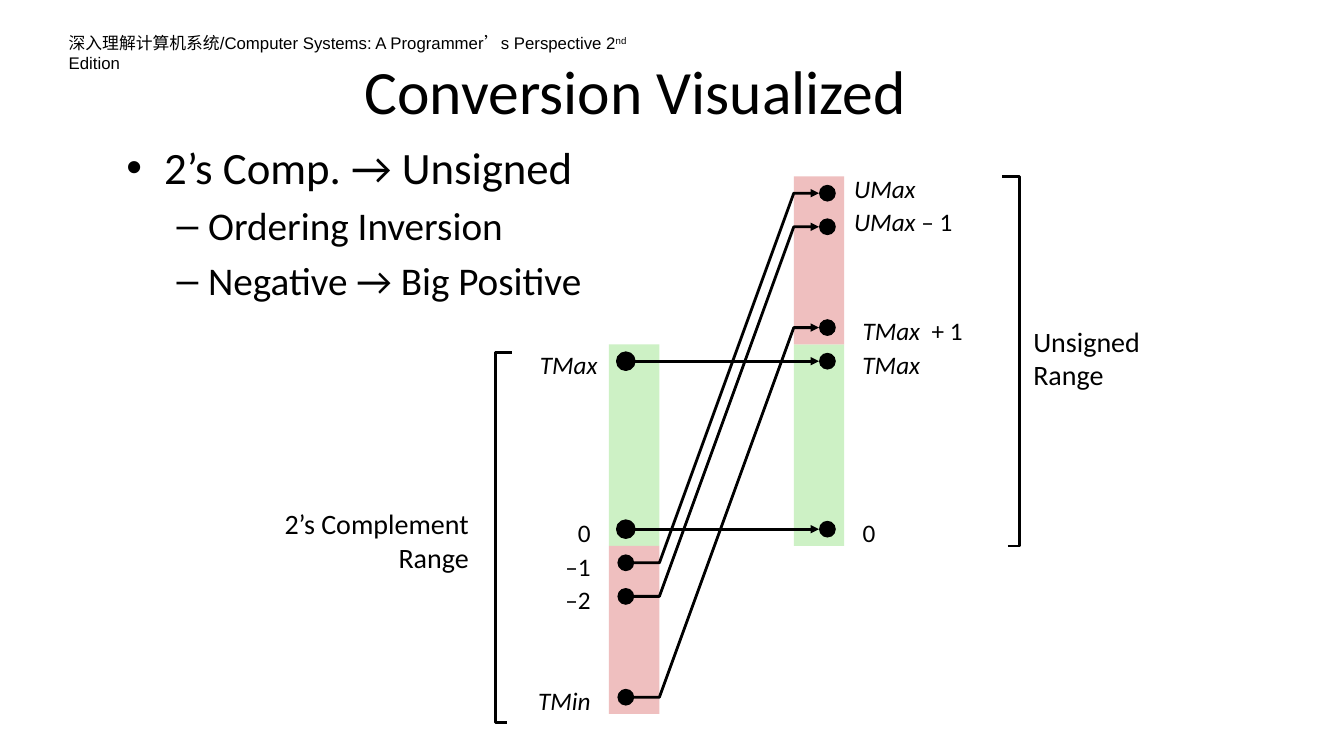
from dataclasses import dataclass

from lxml import etree
from pptx import Presentation
from pptx.dml.color import RGBColor
from pptx.enum.shapes import MSO_CONNECTOR, MSO_SHAPE
from pptx.enum.text import MSO_AUTO_SIZE, PP_ALIGN
from pptx.oxml.ns import qn
from pptx.util import Pt

LEFT, CENTER, RIGHT = PP_ALIGN.LEFT, PP_ALIGN.CENTER, PP_ALIGN.RIGHT
RECTANGLE, OVAL = MSO_SHAPE.RECTANGLE, MSO_SHAPE.OVAL
STRAIGHT = MSO_CONNECTOR.STRAIGHT
NO_AUTOFIT = MSO_AUTO_SIZE.NONE


@dataclass(frozen=True)
class Theme:
    ink: RGBColor = RGBColor(0x00, 0x00, 0x00)
    shared: RGBColor = RGBColor(0xCD, 0xF1, 0xC5)
    moved: RGBColor = RGBColor(0xEF, 0xBF, 0xBF)
    font: str = "Calibri"
    header_font: str = "Arial"
    title_size: int = 44
    body_sizes: tuple = (32, 28)
    range_size: int = 20
    label_size: int = 18
    header_size: int = 12
    line_width: int = 2


def write_text(text_frame, paragraphs, *, font, sizes, color, align=LEFT):
    """Each paragraph is (level, runs); each run is (text, style)."""
    for index, (level, runs) in enumerate(paragraphs):
        paragraph = text_frame.paragraphs[0] if index == 0 else text_frame.add_paragraph()
        paragraph.level = level
        paragraph.alignment = align
        for text, style in runs:
            run = paragraph.add_run()
            run.text = text
            run.font.name = font
            run.font.size = Pt(sizes[level])
            run.font.color.rgb = color
            if style == "italic":
                run.font.italic = True
            elif style == "superscript":
                run.font._element.set("baseline", "30000")


class SlideBuilder:
    def __init__(self, slide, theme):
        self.slide = slide
        self.theme = theme

    def placeholder(self, index, box, paragraphs, sizes, align=LEFT):
        shape = self.slide.placeholders[index]
        shape.left, shape.top, shape.width, shape.height = map(Pt, box)
        shape.text_frame.auto_size = NO_AUTOFIT
        write_text(shape.text_frame, paragraphs, font=self.theme.font, sizes=sizes,
                   color=self.theme.ink, align=align)

    def text(self, box, lines, size, align=LEFT, wrap=True, font=None):
        shape = self.slide.shapes.add_textbox(*map(Pt, box))
        shape.text_frame.word_wrap = wrap
        write_text(shape.text_frame, [(0, runs) for runs in lines],
                   font=font or self.theme.font, sizes=(size,),
                   color=self.theme.ink, align=align)

    def filled(self, kind, box, color, outlined=False):
        shape = self.slide.shapes.add_shape(kind, *map(Pt, box))
        shape.shadow.inherit = False
        shape.fill.solid()
        shape.fill.fore_color.rgb = color
        if outlined:
            self.stroke(shape.line)
        else:
            shape.line.fill.background()

    def stroke(self, line, arrow=False):
        line.color.rgb = self.theme.ink
        line.width = Pt(self.theme.line_width)
        if arrow:
            etree.SubElement(line._get_or_add_ln(), qn("a:tailEnd"), type="triangle")

    def arrow(self, start, end):
        connector = self.slide.shapes.add_connector(STRAIGHT, *map(Pt, start + end))
        self.stroke(connector.line, arrow=True)
        etree.SubElement(connector._element.spPr, qn("a:effectLst"))

    def open_path(self, points, arrow=False):
        builder = self.slide.shapes.build_freeform(*points[0], scale=Pt(1))
        builder.add_line_segments(points[1:], close=False)
        shape = builder.convert_to_shape()
        shape.shadow.inherit = False
        shape.fill.background()
        self.stroke(shape.line, arrow)


# Geometry of the two number bars, in points
SIGNED_X, UNSIGNED_X = 435, 567
BAR_WIDTH, SHARED_HEIGHT, MOVED_HEIGHT = 36, 144, 120
SHARED_TOP = 246
SHARED_BOTTOM = SHARED_TOP + SHARED_HEIGHT
DOT, DOT_INSET = 12, 6
LABEL_HEIGHT = 29
ARROW_START = SIGNED_X + DOT_INSET + DOT
ARROW_END = UNSIGNED_X + DOT_INSET + DOT

# Row centre, label runs, label left, label width, wrap
SIGNED_ROWS = [
    (258, [("TMax", "italic")], 378, 56, False),
    (378, [("0", None)], 369, 60, True),
    (402, [("–1", None)], 369, 60, True),
    (426, [("–2", None)], 369, 60, True),
    (498, [("TMin", "italic")], 376, 53, False),
]
# Row centre, label runs, label left, label width, wrap, label rise
UNSIGNED_ROWS = [
    (138, [("UMax", "italic")], 603, 90, True, 18),
    (162, [("UMax", "italic"), (" – 1", None)], 603, 114, True, 18),
    (234, [("TMax  ", "italic"), ("+ 1", None)], 609, 87, False, 12),
    (258, [("TMax", "italic")], 609, 56, False, 12),
    (378, [("0", None)], 609, 60, True, 12),
]
UNCHANGED = (258, 378)
SHIFTED = [(402, 138), (426, 162), (498, 234)]


def main():
    presentation = Presentation()
    presentation.slide_width, presentation.slide_height = Pt(960), Pt(540)
    theme = Theme()
    slide = presentation.slides.add_slide(presentation.slide_layouts[1])
    builder = SlideBuilder(slide, theme)

    # Running header, title and list
    builder.text((42, 20, 452, 22),
                 [[("深入理解计算机系统/Computer Systems: A Programmer’s Perspective 2", None),
                   ("nd", "superscript"), (" Edition", None)]],
                 theme.header_size, font=theme.header_font)
    builder.placeholder(0, (141, 42, 626, 45), [(0, [("Conversion Visualized", None)])],
                        (theme.title_size,), CENTER)
    builder.placeholder(1, (83, 96.5, 387, 135),
                        [(0, [("2’s Comp. → Unsigned", None)]),
                         (1, [("Ordering Inversion", None)]),
                         (1, [("Negative → Big Positive", None)])],
                        theme.body_sizes)

    # Bars: the shared range, and the part that moves from bottom to top
    for left, moved_top in ((SIGNED_X, SHARED_BOTTOM), (UNSIGNED_X, SHARED_TOP - MOVED_HEIGHT)):
        builder.filled(RECTANGLE, (left, SHARED_TOP, BAR_WIDTH, SHARED_HEIGHT), theme.shared)
        builder.filled(RECTANGLE, (left, moved_top, BAR_WIDTH, MOVED_HEIGHT), theme.moved)

    # Values and their labels
    for center, label, left, width, wrap in SIGNED_ROWS:
        builder.filled(OVAL, (SIGNED_X + DOT_INSET, center - DOT / 2, DOT, DOT),
                       theme.ink, outlined=center in UNCHANGED)
        builder.text((left, center - 12, width, LABEL_HEIGHT), [label],
                     theme.label_size, RIGHT, wrap)
    for center, label, left, width, wrap, rise in UNSIGNED_ROWS:
        builder.filled(OVAL, (ARROW_END, center - DOT / 2, DOT, DOT), theme.ink)
        builder.text((left, center - rise, width, LABEL_HEIGHT), [label],
                     theme.label_size, LEFT, wrap)

    # Mapping arrows
    for center in UNCHANGED:
        builder.arrow((ARROW_START, center), (ARROW_END, center))
    for start, end in SHIFTED:
        builder.open_path([(ARROW_START, start), (SIGNED_X + BAR_WIDTH, start),
                           (UNSIGNED_X, end), (ARROW_END, end)], arrow=True)

    # Range brackets and captions
    builder.open_path([(362, 516), (354, 516), (354, 252), (366, 252)])
    builder.open_path([(719.5, 390), (728, 390), (728, 126), (716, 126)])
    builder.text((174, 358.5, 168, 55.5), [[("2’s Complement Range", None)]],
                 theme.range_size, RIGHT)
    builder.text((731, 228, 91.5, 55.5), [[("Unsigned", None)], [("Range", None)]],
                 theme.range_size, wrap=False)

    presentation.save("out.pptx")


if __name__ == "__main__":
    main()
